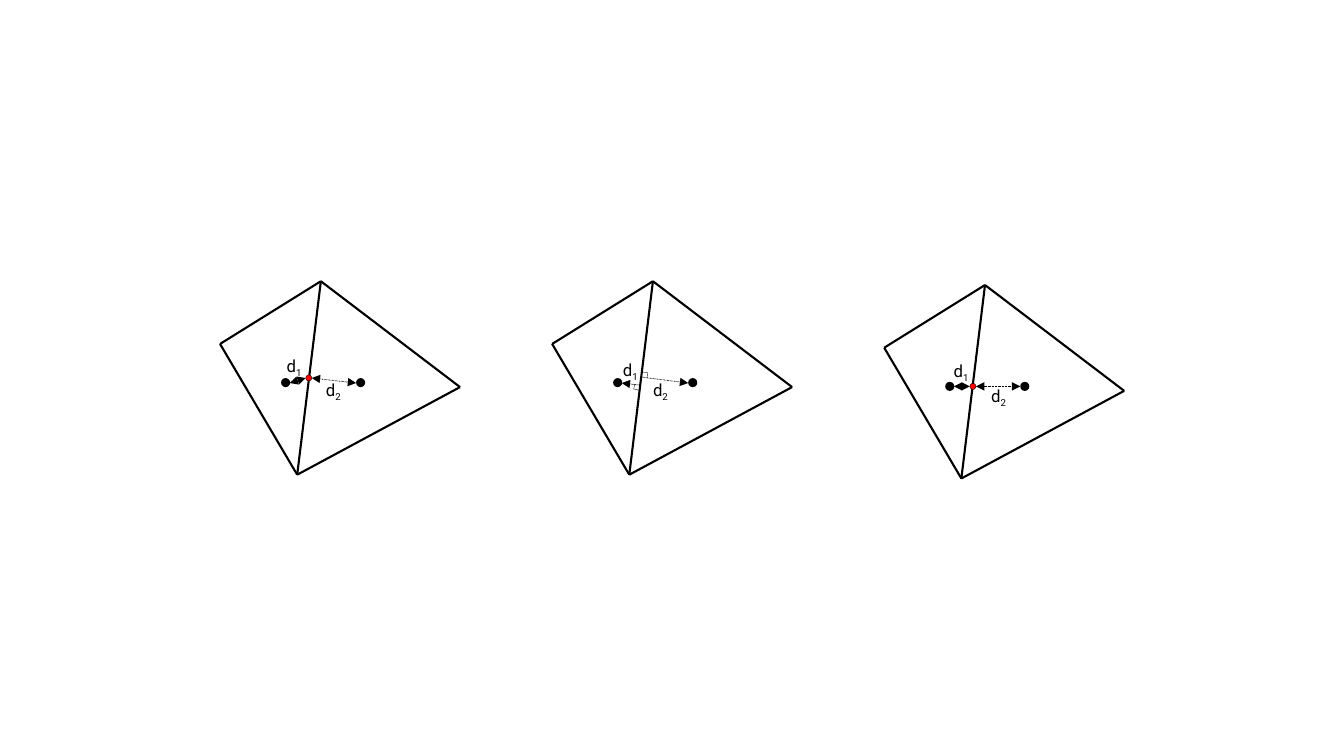
import pptx
import pptx.util
import pptx.dml.color
import pptx.enum.dml
import pptx.enum.shapes
import pptx.enum.text
import pptx.oxml
from dataclasses import dataclass
from pptx.util import Pt


@dataclass
class Theme:
    ink: str = "000000"
    accent: str = "FF0000"
    font: str = "Roboto"
    label_size: float = 12
    edge_width: float = 1.5
    arrow_width: float = 0.5
    hairline: float = 0.25


# Offsets in points from a panel's left and top edges
LEFT, TOP, BOTTOM, RIGHT = (0, 44.8), (72, 0), (55.1, 138.2), (171.4, 75.6)
EDGES = [(LEFT, BOTTOM), (LEFT, TOP), (TOP, BOTTOM), (BOTTOM, RIGHT), (TOP, RIGHT)]
CENTROIDS = [(46.8, 72.4), (100.4, 72.4)]
CENTROID_SIZE, MARKER_SIZE = 6.5, 4.3
LABEL_SIZE = (28, 21.6)

PANEL_LEFT, PANEL_STEP = 157.2, 237.2
# Each arrow starts at the centroid; labels are the corners of d1 and d2.
PANELS = [
    dict(top=200.9, marker=(63.4, 69.1), both_ends=True,
         arrows=[((49.7, 72.7), (61.2, 69.1)), ((97.2, 72.7), (65.5, 69.1))],
         labels=[(38.9, 49.7), (67, 67)], corners=[]),
    dict(top=200.9, marker=None, both_ends=False,
         arrows=[((49.7, 72.7), (62.6, 74.2)), ((97.2, 72.7), (63.4, 68.4))],
         labels=[(41.8, 52.6), (63.4, 67)],
         corners=[[(59, 73.4), (58.3, 77), (61.9, 77.8)],
                  [(67.7, 69.1), (68.4, 65.5), (64.8, 64.8)]]),
    dict(top=203.6, marker=(63.4, 72.4), both_ends=True,
         arrows=[((49.7, 72.4), (61.2, 72.4)), ((97.2, 72.4), (65.5, 72.4))],
         labels=[(41, 50.4), (67.7, 68.4)], corners=[]),
]


class Sketch:
    def __init__(self, slide, theme):
        self.slide = slide
        self.theme = theme
        self.origin = (0, 0)

    def place(self, point):
        """Turn a panel offset into a slide position."""
        return [Pt(start + offset) for start, offset in zip(self.origin, point)]

    def color(self, code):
        return pptx.dml.color.RGBColor.from_string(code)

    def line(self, start, end, width):
        connector = self.slide.shapes.add_connector(
            pptx.enum.shapes.MSO_CONNECTOR.STRAIGHT, *self.place(start), *self.place(end))
        connector.line.color.rgb = self.color(self.theme.ink)
        connector.line.width = Pt(width)
        properties = connector._element.spPr
        properties.append(pptx.oxml.parse_xml(
            '<a:effectLst xmlns:a="http://schemas.openxmlformats.org/drawingml/2006/main"/>'))
        return connector

    def arrow(self, start, end, both_ends):
        connector = self.line(start, end, self.theme.arrow_width)
        connector.line.dash_style = pptx.enum.dml.MSO_LINE.ROUND_DOT
        for tag in ["headEnd", "tailEnd"] if both_ends else ["headEnd"]:
            connector.line._get_or_add_ln().append(pptx.oxml.parse_xml(
                f'<a:{tag} xmlns:a="http://schemas.openxmlformats.org/drawingml/2006/main"'
                ' type="triangle"/>'))

    def dot(self, center, size, fill, outlined=False):
        corner = [value - size / 2 for value in center]
        shape = self.slide.shapes.add_shape(
            pptx.enum.shapes.MSO_SHAPE.OVAL, *self.place(corner), Pt(size), Pt(size))
        shape.shadow.inherit = False
        shape.fill.solid()
        shape.fill.fore_color.rgb = self.color(fill)
        if outlined:
            shape.line.color.rgb = self.color(self.theme.ink)
            shape.line.width = Pt(self.theme.hairline)
        else:
            shape.line.fill.background()

    def label(self, corner, subscript):
        width, height = LABEL_SIZE
        box = self.slide.shapes.add_textbox(*self.place(corner), Pt(width), Pt(height))
        frame = box.text_frame
        frame.word_wrap = False
        frame.auto_size = pptx.enum.text.MSO_AUTO_SIZE.SHAPE_TO_FIT_TEXT
        para = frame.paragraphs[0]
        para.alignment = pptx.enum.text.PP_ALIGN.CENTER
        for text in ("d", subscript):
            span = para.add_run()
            span.text = text
            span.font.name = self.theme.font
            span.font.size = Pt(self.theme.label_size)
            span.font.color.rgb = self.color(self.theme.ink)
        span.font._element.set("baseline", "-25000")

    def panel(self, left, top, marker, both_ends, arrows, labels, corners):
        """Draw two neighbouring triangles with their centroid distances."""
        self.origin = (left, top)
        for start, end in EDGES:
            self.line(start, end, self.theme.edge_width)
        for center in CENTROIDS:
            self.dot(center, CENTROID_SIZE, self.theme.ink)
        if marker:
            self.dot(marker, MARKER_SIZE, self.theme.accent, outlined=True)
        for start, end in arrows:
            self.arrow(start, end, both_ends)
        for points in corners:
            for start, end in zip(points, points[1:]):
                self.line(start, end, self.theme.hairline)
        for number, corner in enumerate(labels, 1):
            self.label(corner, str(number))


def main():
    deck = pptx.Presentation()
    deck.slide_width, deck.slide_height = Pt(960), Pt(540)
    sketch = Sketch(deck.slides.add_slide(deck.slide_layouts[6]), Theme())
    for index, panel in enumerate(PANELS):
        sketch.panel(PANEL_LEFT + index * PANEL_STEP, **panel)
    deck.save("out.pptx")


if __name__ == "__main__":
    main()
